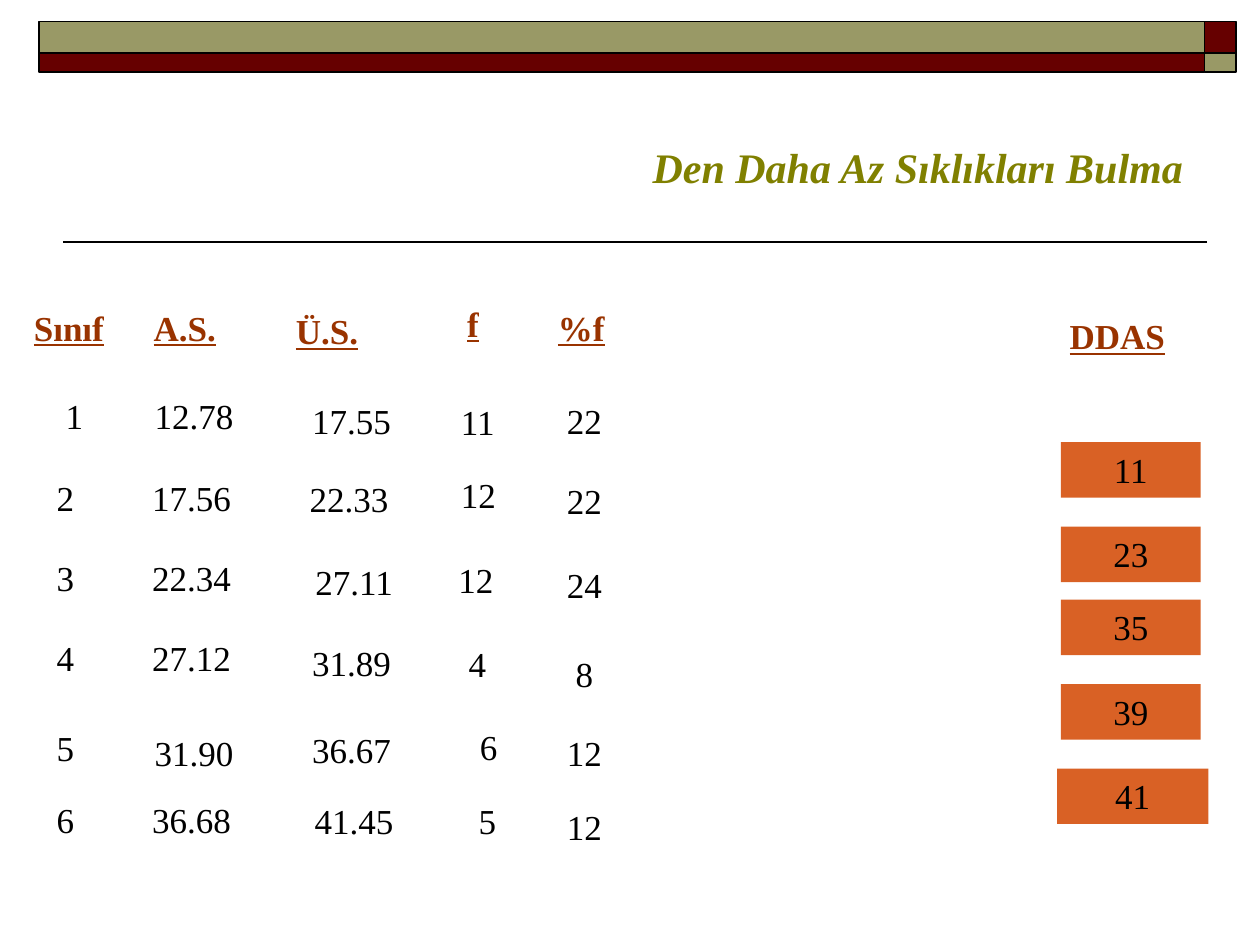
from lxml.etree import SubElement
from pptx import Presentation
from pptx.dml.color import RGBColor
from pptx.enum.shapes import MSO_CONNECTOR as CONN, MSO_SHAPE as SHAPE
from pptx.enum.text import MSO_ANCHOR as ANCHOR, PP_ALIGN as ALIGN
from pptx.oxml.ns import qn
from pptx.util import Inches, Pt

FONT = "Times New Roman"
BLACK, RUST, OLIVE = "000000", "993300", "808000"
MAROON, KHAKI, ORANGE = "660000", "999966", "D96125"

COLUMNS = [
    (("Sınıf", 0.17, 2.38), ALIGN.CENTER,
     [("1", -0.1, 3.08), ("2", -0.17, 3.73), ("3", -0.17, 4.37),
      ("4", -0.17, 5), ("5", -0.17, 5.72), ("6", -0.17, 6.29)]),
    (("A.S.", 1.12, 2.38), ALIGN.CENTER,
     [("12.78", 0.85, 3.08), ("17.56", 0.83, 3.73), ("22.34", 0.83, 4.37),
      ("27.12", 0.83, 5), ("31.90", 0.85, 5.76), ("36.68", 0.83, 6.29)]),
    (("Ü.S.", 2.25, 2.41), ALIGN.CENTER,
     [("17.55", 2.1, 3.12), ("22.33", 2.08, 3.74), ("27.11", 2.12, 4.4),
      ("31.89", 2.1, 5.04), ("36.67", 2.1, 5.73), ("41.45", 2.12, 6.3)]),
    (("f", 3.61, 2.35), ALIGN.LEFT,
     [("11", 3.56, 3.13), ("12", 3.56, 3.71), ("12", 3.54, 4.38),
      ("4", 3.62, 5.05), ("6", 3.71, 5.71), ("5", 3.7, 6.3)]),
    (("%f", 4.33, 2.38), ALIGN.LEFT,
     [("22", 4.4, 3.12), ("22", 4.4, 3.76), ("24", 4.4, 4.42),
      ("8", 4.47, 5.13), ("12", 4.4, 5.76), ("12", 4.4, 6.34)]),
]
TOTALS = [("11", 8.42, 3.51, 1.11), ("23", 8.42, 4.18, 1.11),
          ("35", 8.42, 4.76, 1.11), ("39", 8.42, 5.43, 1.11),
          ("41", 8.39, 6.1, 1.2)]


def rgb(value):
    """Turn a hex string into a colour."""
    return RGBColor.from_string(value)


def inches(box):
    """Turn a box of numbers into lengths."""
    return [Inches(n) for n in box]


def write(sp, text, align, color=BLACK, size=20, bold=False, italic=False, underline=False):
    """Set and format the text of a shape."""
    tf = sp.text_frame
    tf.text = text
    tf.word_wrap = True
    tf.vertical_anchor = ANCHOR.TOP
    p = tf.paragraphs[0]
    p.alignment = align
    font = p.runs[0].font
    font.name, font.size, font.color.rgb = FONT, Pt(size), rgb(color)
    font.bold, font.italic, font.underline = bold, italic, underline


def add_label(s, box, text, align):
    """Add a plain value in a text box."""
    write(s.shapes.add_textbox(*inches(box)), text, align)


def add_heading(s, box, text):
    """Add an underlined column heading."""
    write(s.shapes.add_textbox(*inches(box)), text, ALIGN.LEFT, RUST, bold=True, underline=True)


def add_rect(s, box, fill, line=None):
    """Add a filled rectangle, outlined if a line colour is given."""
    sp = s.shapes.add_shape(SHAPE.RECTANGLE, *inches(box))
    sp.shadow.inherit = False
    sp.fill.solid()
    sp.fill.fore_color.rgb = rgb(fill)
    if line:
        sp.line.color.rgb = rgb(line)
        sp.line.width = Pt(1)
    else:
        sp.line.fill.background()
    return sp


def add_banner(s, box):
    """Add the checked bar at the top."""
    left, top, width, height = box
    end = 0.25
    upper = 0.25
    split = left + width - end
    for y, h, fill, corner in ((top, upper, KHAKI, MAROON),
                               (top + upper, height - upper, MAROON, KHAKI)):
        add_rect(s, (left, y, width - end, h), fill, BLACK)
        add_rect(s, (split, y, end, h), corner, BLACK)


def add_rule(s, box):
    """Add the line under the title."""
    left, top, width, height = box
    line = s.shapes.add_connector(CONN.STRAIGHT, *inches((left + width, top, left, top + height)))
    line.line.color.rgb = rgb(BLACK)
    line.line.width = Pt(1)
    SubElement(line._element.spPr, qn("a:effectLst"))


def add_title(s, box, text):
    """Place and format the title placeholder."""
    title = s.shapes.title
    title.left, title.top, title.width, title.height = inches(box)
    write(title, text, ALIGN.RIGHT, OLIVE, 24, bold=True, italic=True)


def add_column(s, heading, align, values):
    """Add one column of the frequency table."""
    text, x, y = heading
    add_heading(s, (x, y, 1.38, 0.5), text)
    for text, x, y in values:
        add_label(s, (x, y, 1.38, 0.5), text, align)


def add_totals(s, box, heading):
    """Add the cumulative frequencies under their heading."""
    add_heading(s, box, heading)
    for text, x, y, width in TOTALS:
        write(add_rect(s, (x, y, width, 0.44), ORANGE), text, ALIGN.CENTER)


def main():
    """Build the slide and save it."""
    prs = Presentation()
    prs.slide_width, prs.slide_height = Inches(10), Inches(7.5)
    s = prs.slides.add_slide(prs.slide_layouts[5])
    add_rule(s, (0.5, 1.92, 9.08, 0))
    add_banner(s, (0.31, 0.17, 9.5, 0.4))
    for column in COLUMNS:
        add_column(s, *column)
    add_totals(s, (8.39, 2.45, 1.11, 0.44), "DDAS")
    add_title(s, (3.35, 1.07, 6.14, 0.5), "Den Daha Az Sıklıkları Bulma")
    prs.save("out.pptx")


if __name__ == "__main__":
    main()
